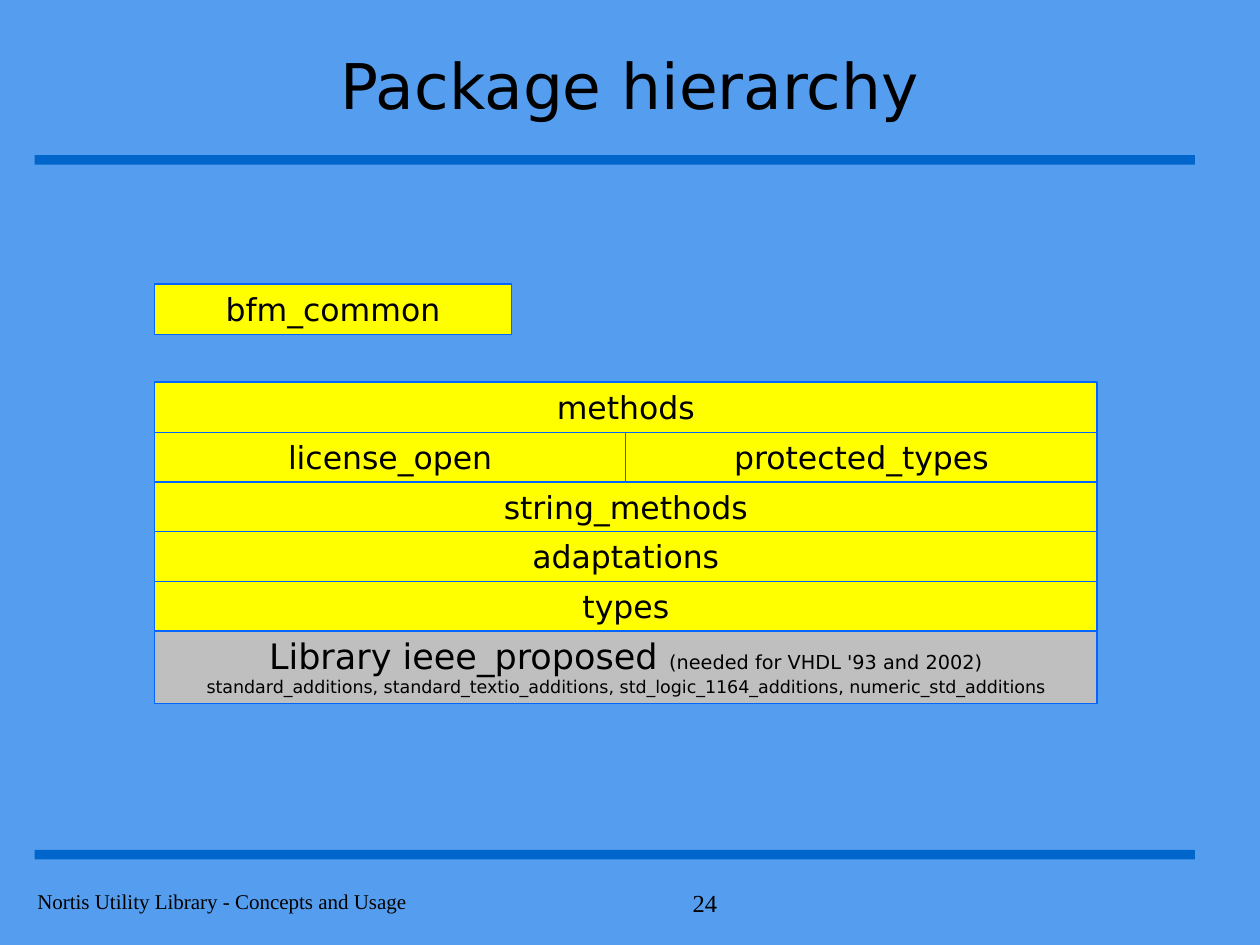
from pptx import Presentation
from pptx.dml.color import RGBColor
from pptx.enum.shapes import MSO_SHAPE
from pptx.enum.text import MSO_ANCHOR, MSO_AUTO_SIZE, PP_ALIGN
from pptx.util import Pt

SANS, SERIF = "DejaVu Sans", "Times New Roman"
BLUE, YELLOW, GRAY = "0066CC", "FFFF00", "BFBFBF"
EDGE = "0066FF"


def paint(fill, color):
    fill.solid()
    fill.fore_color.rgb = RGBColor.from_string(color)


def write(para, text, size=18, font=SANS, color="000000",
          align=PP_ALIGN.CENTER, before=0):
    para.alignment = align
    para.space_before = Pt(before)
    run = para.add_run()
    run.text = text
    run.font.size = Pt(size)
    run.font.name = font
    paint(run.font.fill, color)


def rect(slide, box, color, edge=None):
    shape = slide.shapes.add_shape(MSO_SHAPE.RECTANGLE, *map(Pt, box))
    shape.shadow.inherit = False
    paint(shape.fill, color)
    if edge:
        paint(shape.line.fill, edge)
        shape.line.width = Pt(0.75)
    else:
        shape.line.fill.background()
    frame = shape.text_frame
    frame.word_wrap = True
    frame.vertical_anchor = MSO_ANCHOR.TOP
    return frame


def label(slide, box, text, **style):
    frame = slide.shapes.add_textbox(*map(Pt, box)).text_frame
    frame.word_wrap = True
    write(frame.paragraphs[0], text, font=SERIF, **style)


def head(slide, box, text):
    title = slide.shapes.title
    title.left, title.top, title.width, title.height = map(Pt, box)
    frame = title.text_frame
    frame.auto_size = MSO_AUTO_SIZE.NONE
    frame.vertical_anchor = MSO_ANCHOR.MIDDLE
    write(frame.paragraphs[0], text, size=36)


def block(slide, box, text):
    frame = rect(slide, box, YELLOW, EDGE)
    write(frame.paragraphs[0], text)


def base(slide, box):
    frame = rect(slide, box, GRAY, EDGE)
    first = frame.paragraphs[0]
    write(first, "Library ieee_proposed ", size=20)
    write(first, "(needed for VHDL '93 and 2002)", size=11)
    write(frame.add_paragraph(),
          "standard_additions, standard_textio_additions, "
          "std_logic_1164_additions, numeric_std_additions", size=10)


def stack(slide, box):
    left, top, width, high = box
    rows = [["methods"], ["license_open", "protected_types"],
            ["string_methods"], ["adaptations"], ["types"]]
    step, tall, foot = 28.4, 28.8, 43.2

    # Library at the bottom, packages layered upwards
    base(slide, (left, top + high - foot, width, foot))
    for i, names in reversed(list(enumerate(rows))):
        cell = width / len(names)
        for j, name in enumerate(names):
            block(slide, (left + j * cell, top + i * step, cell, tall), name)


def footer(slide, box):
    left, top, width, high = box
    page = 57
    label(slide, (left, top, 300, high),
          "Nortis Utility Library - Concepts and Usage",
          size=12, align=PP_ALIGN.LEFT, before=7.5)
    label(slide, (left + width - page, top, page, high), "24",
          size=14, align=PP_ALIGN.RIGHT, before=8.8)


def main():
    deck = Presentation()
    deck.slide_width, deck.slide_height = Pt(720), Pt(540)
    slide = deck.slides.add_slide(deck.slide_layouts[5])
    paint(slide.background.fill, "559EEF")

    # Rules above and below the content
    for top in (88.6, 485.6):
        rect(slide, (19.8, top, 663, 5.5), BLUE)

    head(slide, (54, 18, 612, 60), "Package hierarchy")
    stack(slide, (88.3, 218.3, 538.7, 183.8))
    block(slide, (88.3, 162.3, 204, 28.8), "bfm_common")
    footer(slide, (14.2, 504, 402.6, 36))
    deck.save("out.pptx")


if __name__ == "__main__":
    main()
